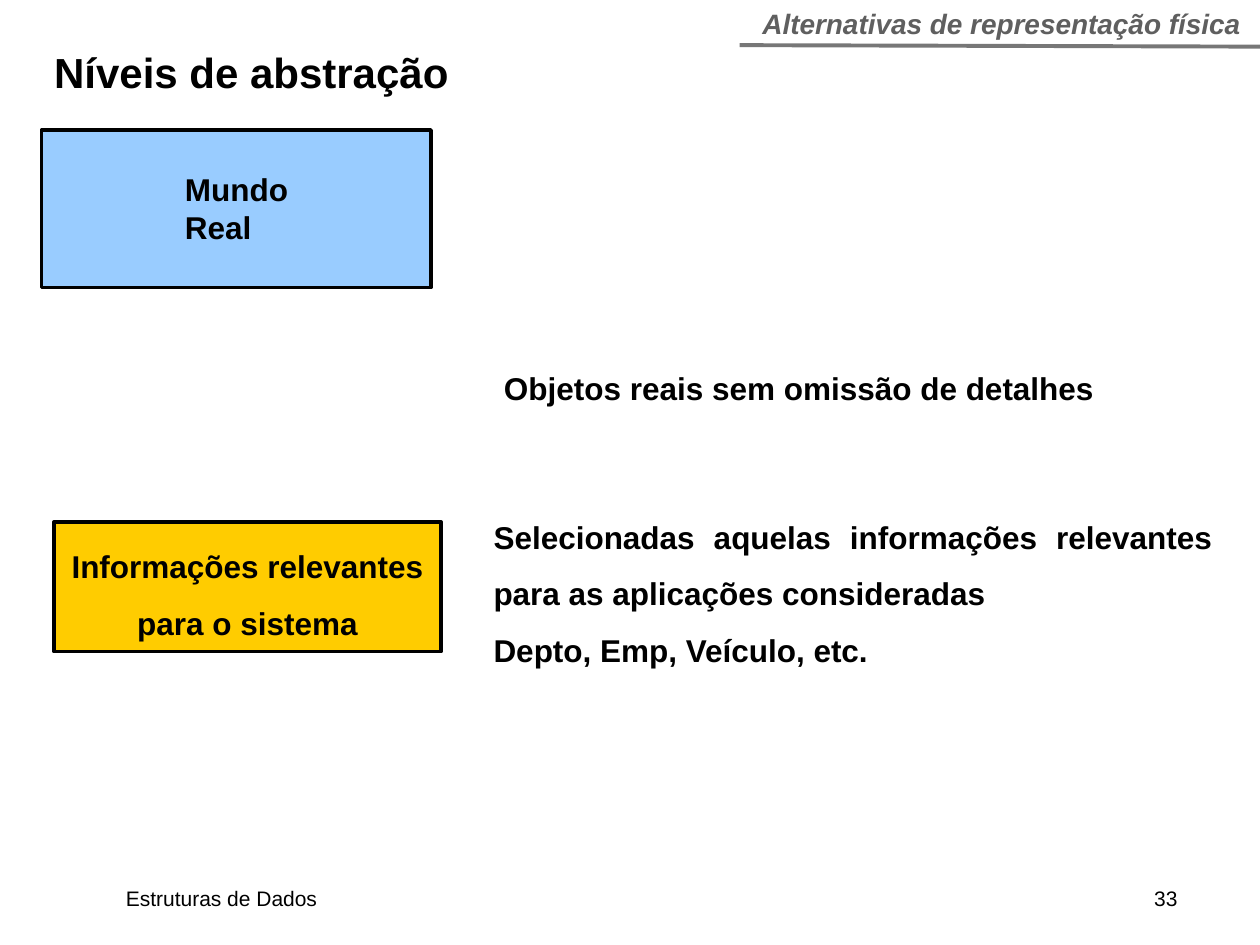
from lxml import etree
from pptx import Presentation, util as u
from pptx.dml.color import RGBColor
from pptx.enum import shapes, text
from pptx.oxml import ns

BLACK = RGBColor(0, 0, 0)
BLUE = RGBColor(0x99, 0xCC, 0xFF)
GOLD = RGBColor(0xFF, 0xCC, 0)
GRAY = RGBColor(0x77, 0x77, 0x77)
DARK = RGBColor(0x5F, 0x5F, 0x5F)
LEFT, MID, JUST = (text.PP_ALIGN.LEFT, text.PP_ALIGN.CENTER,
                   text.PP_ALIGN.JUSTIFY)
TOP, CENTER = text.MSO_ANCHOR.TOP, text.MSO_ANCHOR.MIDDLE


class Slide:
    """Holds the text style and the current slide."""

    font = "Arial"

    def __init__(self, deck):
        self.page = deck.slides.add_slide(deck.slide_layouts[5])

    def typeset(self, frame, lines, size=18, color=BLACK, bold=True,
                slant=False, align=JUST, gap=1.0, wrap=True, anchor=TOP,
                pad=0.25, tab=None):
        frame.word_wrap = wrap
        frame.auto_size = text.MSO_AUTO_SIZE.NONE
        frame.vertical_anchor = anchor
        frame.margin_left = frame.margin_right = u.Cm(pad)
        frame.margin_top = frame.margin_bottom = u.Cm(pad / 2)
        for i, line in enumerate(lines):
            para = frame.add_paragraph() if i else frame.paragraphs[0]
            para.alignment = align
            para.line_spacing = gap
            if tab:
                stops = etree.SubElement(para._p.get_or_add_pPr(),
                                         ns.qn("a:tabLst"))
                etree.SubElement(stops, ns.qn("a:tab"),
                                 pos=str(u.Cm(tab)), algn="r")
            for j, part in enumerate(line.split("\n")):
                if j:
                    para.add_line_break()
                run = para.add_run()
                run.text = part
                font = run.font
                font.name, font.size = self.font, u.Pt(size)
                font.bold, font.italic = bold, slant
                font.color.rgb = color

    def title(self, x, y, w, h, line):
        head = self.page.shapes.title
        head.left, head.top, head.width, head.height = map(
            u.Cm, (x, y, w, h))
        self.typeset(head.text_frame, [line], size=24, align=LEFT,
                     anchor=CENTER)

    def label(self, x, y, w, h, lines, **style):
        box = self.page.shapes.add_textbox(*map(u.Cm, (x, y, w, h)))
        self.typeset(box.text_frame, lines, **style)

    def block(self, x, y, w, h, fill, lines=(), **style):
        box = self.page.shapes.add_shape(
            shapes.MSO_SHAPE.RECTANGLE, *map(u.Cm, (x, y, w, h)))
        box.shadow.inherit = False
        box.fill.solid()
        box.fill.fore_color.rgb = fill
        box.line.color.rgb = BLACK
        box.line.width = u.Pt(2)
        if lines:
            self.typeset(box.text_frame, lines, **style)

    def rule(self, x1, y1, x2, y2):
        line = self.page.shapes.add_connector(
            shapes.MSO_CONNECTOR.STRAIGHT, *map(u.Cm, (x1, y1, x2, y2)))
        line.line.color.rgb = GRAY
        line.line.width = u.Pt(2.25)
        etree.SubElement(line._element.spPr, ns.qn("a:effectLst"))


def main():
    deck = Presentation()
    deck.slide_width, deck.slide_height = u.Cm(25.4), u.Cm(19.05)
    slide = Slide(deck)

    # Footer with page number
    slide.label(2.29, 17.73, 22.2, 0.76, ["Estruturas de Dados\t33"],
                size=12, bold=False, align=LEFT, tab=21.2)

    # Real world
    slide.block(0.84, 2.62, 7.85, 3.18, BLUE)
    slide.label(3.43, 3.28, 2.69, 1.85, ["Mundo", "Real"],
                wrap=False, pad=0.3)
    slide.label(9.91, 7.32, 12.75, 1.02,
                ["Objetos reais sem omissão de detalhes"])

    # Relevant information
    slide.label(9.7, 9.93, 14.99, 3.68,
                ["Selecionadas aquelas informações relevantes "
                 "para as aplicações consideradas",
                 "Depto, Emp, Veículo, etc."], gap=1.5)
    slide.block(1.09, 10.52, 7.8, 2.62, GOLD,
                ["Informações relevantes\npara o sistema"],
                align=MID, gap=1.5)

    # Title and header
    slide.title(0.84, 0.66, 8.76, 1.57, "Níveis de abstração")
    slide.rule(14.91, 0.91, 25.4, 0.94)
    slide.label(15.11, 0, 10.16, 0.94,
                ["Alternativas de representação física"], size=16,
                color=DARK, slant=True, align=MID, wrap=False)

    deck.save("out.pptx")


if __name__ == "__main__":
    main()
